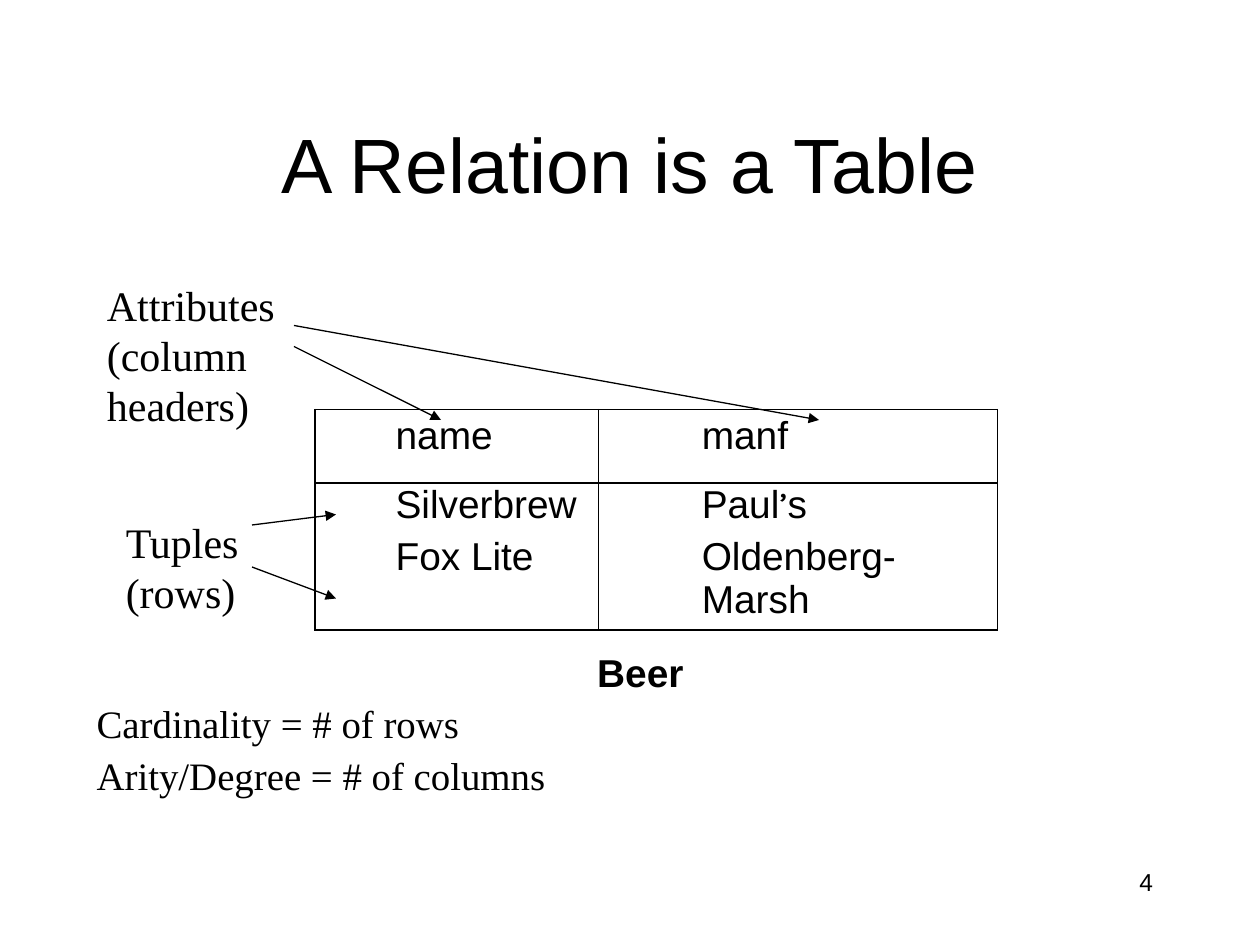
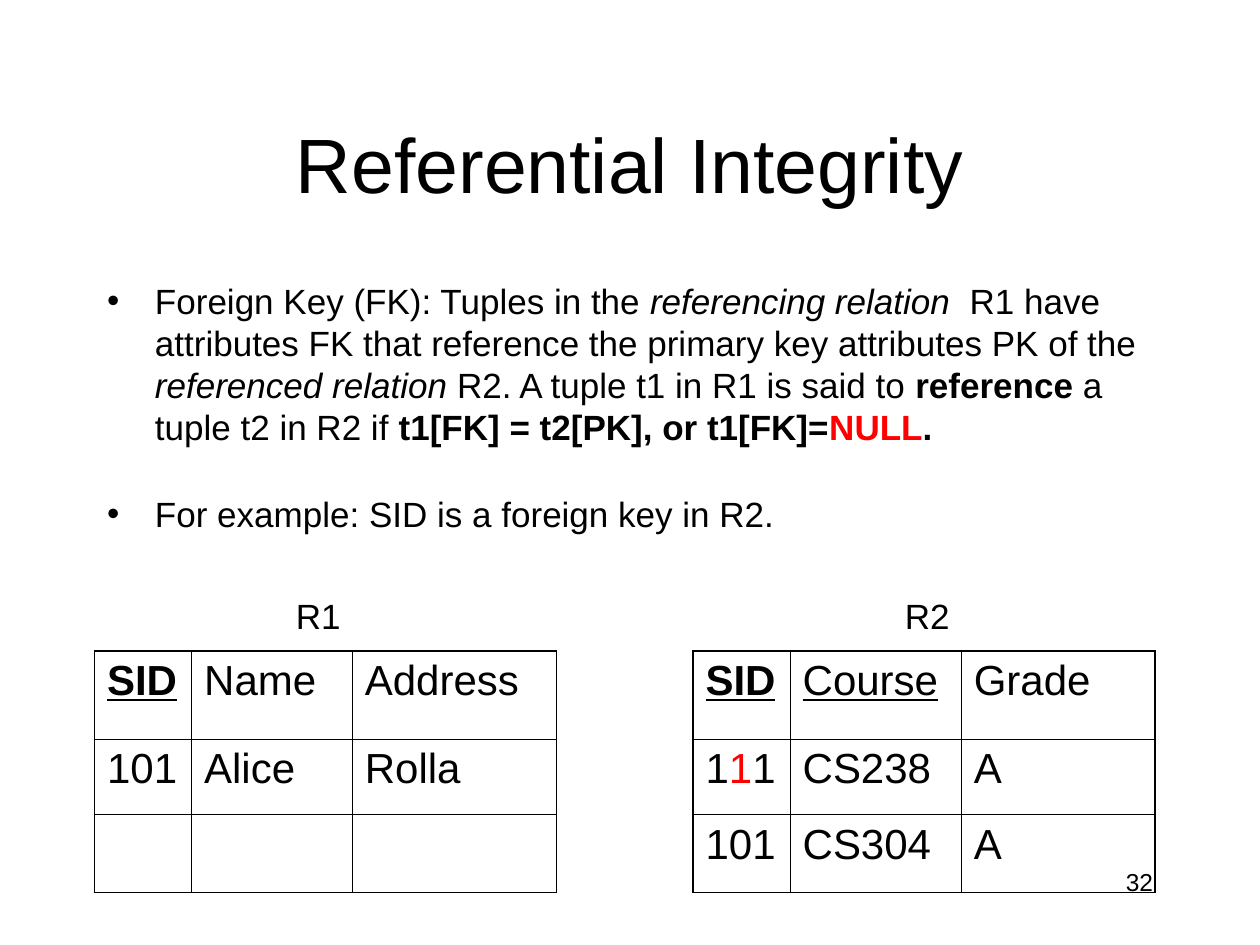
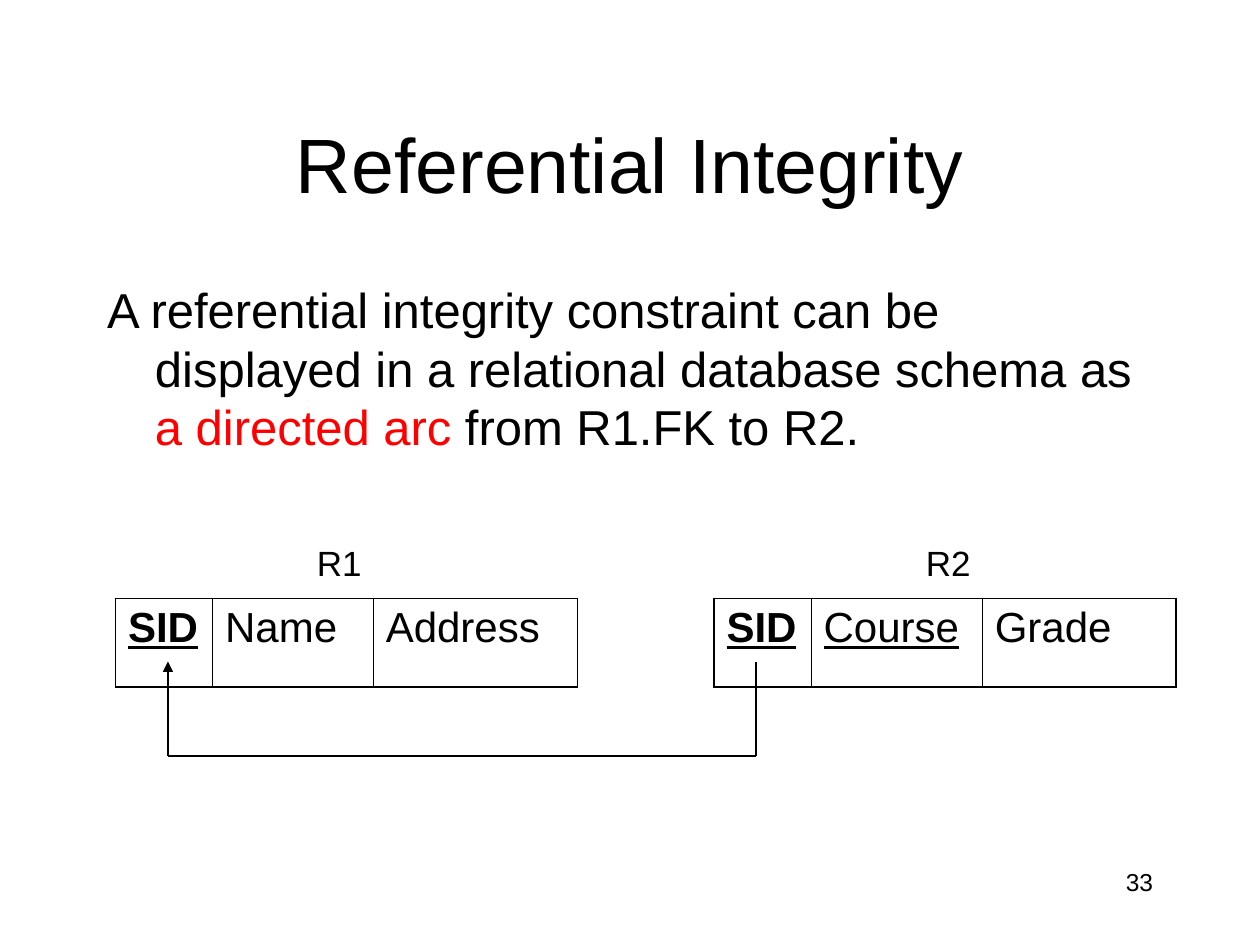
from lxml.etree import SubElement
from pptx import Presentation
from pptx.dml.color import RGBColor
from pptx.enum.shapes import MSO_CONNECTOR
from pptx.enum.text import MSO_ANCHOR, MSO_AUTO_SIZE, PP_ALIGN
from pptx.oxml.ns import qn
from pptx.util import Inches, Pt

COLORS = {"ink": "000000", "accent": "FF0000"}
SANS, SERIF = "Arial", "Times New Roman"
GRID = Inches(1) / 12
TITLE_BOX = (9, 8, 102, 15)
BODY_BOX = (9, 26, 102, 54)
NUMBER_BOX = (86, 82, 25, 6)
ROWS = (8.4, 7.2, 7.4)
R1_COLS = (9.25, 15.3, 19.45)
R2_COLS = (9.25, 16.3, 18.45)
INNER, OUTER, LINE = 0.45, 1.08, 0.75

BOLD = {"bold": True}
ITALIC = {"italic": True}
RED = {"color": "accent"}
KEY = {"underline": True}
BOLD_KEY = BOLD | KEY
R1_HEADER = [("SID", BOLD_KEY), "Name", "Address"]
R2_HEADER = [("SID", BOLD_KEY), ("Course", KEY), "Grade"]


def units(*values):
    return [round(v * GRID) for v in values]


def place(sp, box):
    sp.left, sp.top, sp.width, sp.height = units(*box)


def add_run(p, text, size, font=SANS, color="ink", bold=False, italic=False, underline=False):
    r = p.add_run()
    r.text = text
    f = r.font
    f.size, f.name = Pt(size), font
    f.bold, f.italic, f.underline = bold, italic, underline
    f.color.rgb = RGBColor.from_string(COLORS[color])


def add_runs(p, runs, size, font=SANS):
    for run in runs if isinstance(runs, list) else [runs]:
        text, style = (run, {}) if isinstance(run, str) else run
        add_run(p, text, **({"size": size, "font": font} | style))


def fill_text(tf, paragraphs, size, font=SANS, align=PP_ALIGN.LEFT):
    for i, runs in enumerate(paragraphs):
        p = tf.add_paragraph() if i else tf.paragraphs[0]
        p.alignment = align
        add_runs(p, runs, size, font)


def add_text(s, box, paragraphs, size, font=SANS, align=PP_ALIGN.LEFT, wrap=True):
    tf = s.shapes.add_textbox(*units(*box)).text_frame
    tf.word_wrap = wrap
    fill_text(tf, paragraphs, size, font, align)


def add_slide(prs, title):
    s = prs.slides.add_slide(prs.slide_layouts[1])
    place(s.shapes.title, TITLE_BOX)
    tf = s.shapes.title.text_frame
    tf.auto_size, tf.vertical_anchor = MSO_AUTO_SIZE.NONE, MSO_ANCHOR.MIDDLE
    fill_text(tf, [title], 44, align=PP_ALIGN.CENTER)
    return s


def add_body(s, box, paragraphs, size, gap=0, font=SANS, bullet=None, spacing=1.0):
    sp = s.placeholders[1]
    place(sp, box)
    tf = sp.text_frame
    tf.auto_size = MSO_AUTO_SIZE.NONE
    fill_text(tf, paragraphs, size, font)
    for i, p in enumerate(tf.paragraphs):
        p.space_before, p.line_spacing = Pt(gap if i else 0), spacing
        pPr = p._p.get_or_add_pPr()
        pPr.set("marL", str(Inches(0.38)))
        pPr.set("indent", str(-Inches(0.38)))
        if bullet:
            SubElement(pPr, qn("a:buFont"), typeface=SANS)
            SubElement(pPr, qn("a:buChar"), char=bullet)
        else:
            SubElement(pPr, qn("a:buNone"))


def add_number(s, number):
    add_text(s, NUMBER_BOX, [str(number)], 14, align=PP_ALIGN.RIGHT)


def set_borders(cell, widths):
    tcPr = cell._tc.get_or_add_tcPr()
    for side, width in zip("LRTB", widths):
        ln = SubElement(tcPr, qn(f"a:ln{side}"), w=str(Pt(width)))
        if width:
            fill = SubElement(ln, qn("a:solidFill"))
            SubElement(fill, qn("a:srgbClr"), val=COLORS["ink"])
        else:
            SubElement(ln, qn("a:noFill"))
    cell.fill.background()


def grid_borders(row, col, n_rows, n_cols):
    edges = (col == 0, col == n_cols - 1, row == 0, row == n_rows - 1)
    return [OUTER if edge else INNER for edge in edges]


def header_rule_borders(row, col, n_rows, n_cols):
    top = LINE if row < 2 else 0
    bottom = LINE if row in (0, n_rows - 1) else 0
    return [LINE, LINE, top, bottom]


def add_grid(s, left, top, cols, heights, rows, size=24, borders=grid_borders, insets=None):
    n_rows, n_cols = len(rows), len(cols)
    box = units(left, top, sum(cols), sum(heights))
    table = s.shapes.add_table(n_rows, n_cols, *box).table
    table.first_row = table.horz_banding = False
    for column, width in zip(table.columns, units(*cols)):
        column.width = width
    for row, height in zip(table.rows, units(*heights)):
        row.height = height
    for i, values in enumerate(rows):
        for j, runs in enumerate(values):
            cell = table.cell(i, j)
            if insets:
                cell.margin_left = Inches(insets[j])
                cell.margin_top = Inches(0 if i else 0.04)
                cell.margin_right = cell.margin_bottom = 0
            if runs:
                add_runs(cell.text_frame.paragraphs[0], runs, size)
            set_borders(cell, borders(i, j, n_rows, n_cols))


def add_relation(s, name, left, top, cols, rows, label_shift):
    add_grid(s, left, top, cols, ROWS[:len(rows)], rows)
    add_text(s, (left + label_shift, top - 6, 8.8, 5.25), [name], 20)


def add_line(s, start, end, arrow=False):
    c = s.shapes.add_connector(MSO_CONNECTOR.STRAIGHT, *units(*start, *end))
    c.line.width = Pt(LINE)
    c.line.color.rgb = RGBColor.from_string(COLORS["ink"])
    if arrow:
        SubElement(c.line._get_or_add_ln(), qn("a:tailEnd"), type="triangle")
    SubElement(c._element.spPr, qn("a:effectLst"))


def relation_slide(prs):
    s = add_slide(prs, "A Relation is a Table")
    beers = [
        ["name", "manf"],
        ["Silverbrew", ["Paul", ("’", {"font": "Karla"}), "s"]],
        ["Fox Lite", "Oldenberg-Marsh"],
    ]
    add_grid(s, 30, 39, (27, 38), (7, 5, 9), beers, 22.2, header_rule_borders, (0.64, 0.82))
    add_text(s, (55.7, 61.2, 12, 5.2), [("Beer", BOLD)], 22.2, wrap=False)
    add_body(s, (8, 66.5, 94, 11), ["Cardinality = # of rows", "Arity/Degree = # of columns"],
             22.2, gap=6, font=SERIF, spacing=0.9)
    add_text(s, (9, 26, 18.4, 15.6), ["Attributes", "(column", "headers)"], 24, SERIF, wrap=False)
    add_text(s, (10.8, 48.6, 13.2, 10.8), ["Tuples", "(rows)"], 24, SERIF, wrap=False)
    for start, end in [((28, 33), (42, 40)), ((28, 31), (78, 40)),
                       ((24, 50), (32, 49)), ((24, 54), (32, 57))]:
        add_line(s, start, end, arrow=True)
    add_number(s, 4)


def foreign_key_slide(prs):
    s = add_slide(prs, "Referential Integrity")
    definition = [
        "Foreign Key (FK): Tuples in the ", ("referencing relation", ITALIC),
        "  R1 have attributes FK that reference the primary key attributes PK of the ",
        ("referenced relation", ITALIC), " R2. A tuple t1 in R1 is said to ",
        ("reference", BOLD), " a tuple t2 in R2 if ",
        ("t1[FK] = t2[PK], or t1[FK]=", BOLD), ("NULL", BOLD | RED), (".", BOLD),
    ]
    add_body(s, BODY_BOX, [definition, "For example: SID is a foreign key in R2."],
             20, gap=25.5, bullet="•")
    students = [R1_HEADER, ["101", "Alice", "Rolla"], ["", "", ""]]
    grades = [R2_HEADER, [["1", ("1", RED), "1"], "CS238", "A"], ["101", "CS304", "A"]]
    add_relation(s, "R1", 9, 62, R1_COLS, students, 18)
    add_relation(s, "R2", 66, 62, R2_COLS, grades, 19)
    add_number(s, 32)


def directed_arc_slide(prs):
    s = add_slide(prs, "Referential Integrity")
    constraint = [
        "A referential integrity constraint can be displayed in a relational database schema as ",
        ("a directed arc", RED), " from R1.FK to R2.",
    ]
    add_body(s, BODY_BOX, [constraint], 28)
    add_relation(s, "R1", 11, 57, R1_COLS, [R1_HEADER], 18)
    add_relation(s, "R2", 68, 57, R2_COLS, [R2_HEADER], 19)
    arc = [(72, 63), (72, 72), (16, 72), (16, 63)]
    for start, end in zip(arc, arc[1:]):
        add_line(s, start, end, arrow=end == arc[-1])
    add_number(s, 33)


def main():
    prs = Presentation()
    prs.slide_width, prs.slide_height = Inches(10), Inches(7.5)
    relation_slide(prs)
    foreign_key_slide(prs)
    directed_arc_slide(prs)
    prs.save("out.pptx")


if __name__ == "__main__":
    main()
